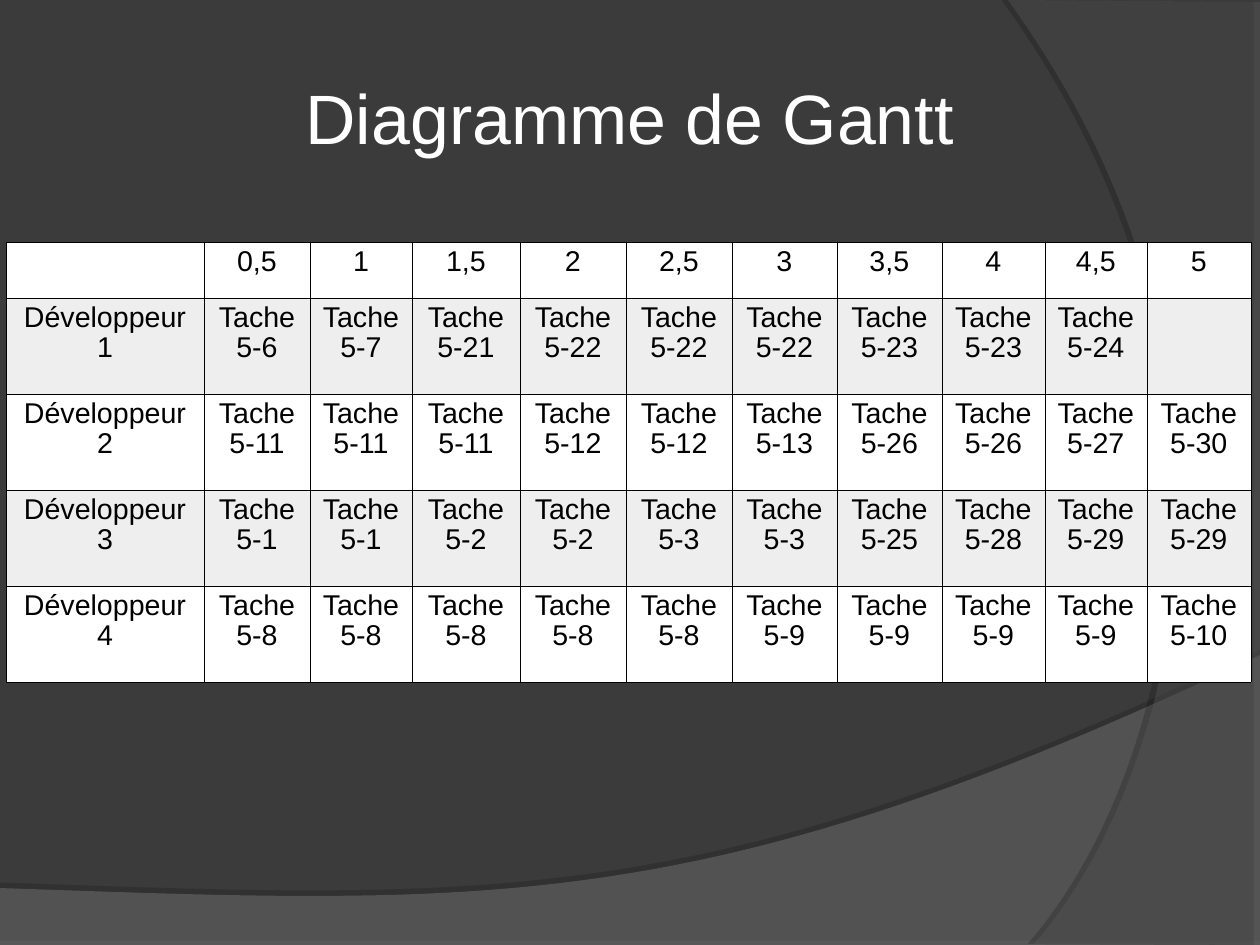
"""Build the Gantt table slide."""
from lxml import etree
from pptx import Presentation
from pptx import util as u
from pptx.dml.color import RGBColor
from pptx.enum import text
from pptx.oxml import parse_xml
from pptx.oxml.ns import nsdecls, qn

PX = 8000
FONT = "Arial"
BACK = RGBColor(0x3B, 0x3B, 0x3B)
WAVE = RGBColor(0x7C, 0x7C, 0x7C)
ARC = RGBColor(0x59, 0x59, 0x59)
WHITE = RGBColor(0xFF, 0xFF, 0xFF)
PALE = RGBColor(0xEE, 0xEE, 0xEE)
BLACK = RGBColor(0, 0, 0)

WIDTHS = [198, 106, 102, 108, 106, 106, 105, 105, 103, 102, 104]
HEIGHTS = [56, 96, 96, 96, 96]
TIMES = ["0,5", "1", "1,5", "2", "2,5", "3", "3,5", "4", "4,5", "5"]
TASKS = [
    [6, 7, 21, 22, 22, 22, 23, 23, 24],
    [11, 11, 11, 12, 12, 13, 26, 26, 27, 30],
    [1, 1, 2, 2, 3, 3, 25, 28, 29, 29],
    [8, 8, 8, 8, 8, 9, 9, 9, 9, 10],
]
SWEEPS = [
    ([(0, 888), (0, 946), (1260, 946)],
     [(1260, 655), (704, 919), (493, 905), (0, 888)], WAVE, 45, 35, 3.5, 270),
    ([(1260, 2), (1260, 945)],
     [(1034, 944), (1177, 781), (1282, 378), (1008, 0)], ARC, 40, 45, 4, 180),
]


def curve(ends, steps=48):
    """Return points along a cubic curve."""
    pts = []
    for i in range(steps + 1):
        t = i / steps
        mix = [(1 - t) ** 3, 3 * t * (1 - t) ** 2, 3 * t * t * (1 - t), t ** 3]
        pts.append(tuple(sum(m * p[k] for m, p in zip(mix, ends)) for k in (0, 1)))
    return pts


def style(para, size, color):
    """Centre a paragraph and set its font."""
    para.alignment = text.PP_ALIGN.CENTER
    para.font.name = FONT
    para.font.size = u.Pt(size)
    para.font.color.rgb = color


prs = Presentation()
prs.slide_width, prs.slide_height = 1260 * PX, 945 * PX
slide = prs.slides.add_slide(prs.slide_layouts[6])
slide.background.fill.solid()
slide.background.fill.fore_color.rgb = BACK

for edge, ends, color, alpha, shade, dist, angle in SWEEPS:
    pts = [(x * PX, y * PX) for x, y in edge + curve(ends)]
    path = slide.shapes.build_freeform(*pts[0])
    path.add_line_segments(pts[1:], close=True)
    sweep = path.convert_to_shape()
    sweep.fill.solid()
    sweep.fill.fore_color.rgb = color
    sweep.line.fill.background()
    tint = sweep.fill._xPr.find(".//" + qn("a:srgbClr"))
    etree.SubElement(tint, qn("a:alpha"), val=str(alpha * 1000))
    sweep.shadow.inherit = False
    glow = sweep._element.spPr.find(qn("a:effectLst"))
    glow.append(parse_xml(
        f'<a:outerShdw {nsdecls("a")} blurRad="0" dist="{u.Pt(dist)}" '
        f'dir="{angle * 60000}" algn="ctr" rotWithShape="0"><a:srgbClr val="000000">'
        f'<a:alpha val="{shade * 1000}"/></a:srgbClr></a:outerShdw>'))

title = slide.shapes.add_textbox(63 * PX, 38 * PX, 1134 * PX, 158 * PX).text_frame
title.word_wrap = True
title.vertical_anchor = text.MSO_ANCHOR.MIDDLE
title.margin_left = title.margin_right = title.margin_top = title.margin_bottom = 0
title.text = "Diagramme de Gantt"
style(title.paragraphs[0], 44, WHITE)

rows = [[""] + TIMES]
for n, tasks in enumerate(TASKS, 1):
    rows.append([f"Développeur {n}"] + [f"Tache 5-{task}" for task in tasks])

table = slide.shapes.add_table(
    len(rows), len(WIDTHS), 6 * PX, 242 * PX, sum(WIDTHS) * PX, sum(HEIGHTS) * PX).table
table.first_row = table.horz_banding = False
for col, width in zip(table.columns, WIDTHS):
    col.width = width * PX
for row, height in zip(table.rows, HEIGHTS):
    row.height = height * PX

for r, row in enumerate(table.rows):
    for c, cell in enumerate(row.cells):
        props = cell._tc.get_or_add_tcPr()
        for side in "LRTB":
            props.append(parse_xml(
                f'<a:ln{side} {nsdecls("a")} w="720"><a:solidFill>'
                f'<a:srgbClr val="000000"/></a:solidFill></a:ln{side}>'))
        cell.fill.solid()
        cell.fill.fore_color.rgb = PALE if r % 2 else WHITE
        if c < len(rows[r]) and rows[r][c]:
            cell.text = rows[r][c]
            para = cell.text_frame.paragraphs[0]
            para.line_spacing = 0.93
            style(para, 18, BLACK)

prs.save("out.pptx")
